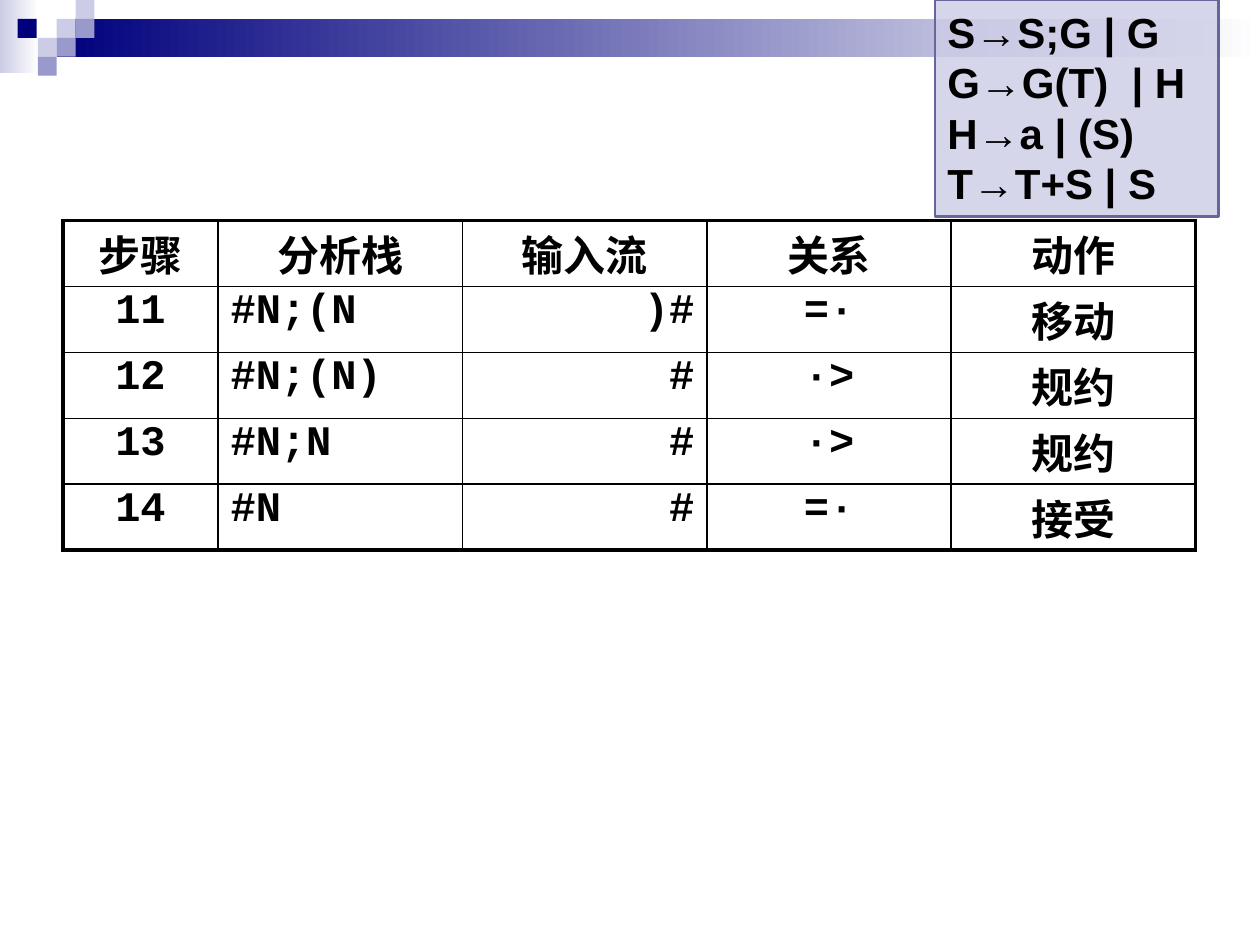
"""Build the operator-precedence parsing slide with its grammar box and step table."""
import dataclasses
import typing

import lxml.etree
import pptx
import pptx.dml.color
import pptx.enum.dml
import pptx.enum.shapes
import pptx.enum.text
import pptx.oxml.ns
import pptx.util

Inches = pptx.util.Inches
Align = pptx.enum.text.PP_ALIGN
BLACK, NAVY, LAVENDER, VIOLET, SLATE, WHITE = (
    "000000", "00007D", "CCCCE6", "9999CC", "666699", "FFFFFF")
SQUARE = 0.15
THIN, THICK = 1, 2.25


@dataclasses.dataclass
class Block:
    left: float
    top: float
    width: float
    height: float
    color: str
    end_color: typing.Optional[str] = None


BANNER = [
    Block(0, 0, 0.31, 0.58, LAVENDER, WHITE),
    Block(0.45, 0.15, 9.55, 0.3, NAVY, WHITE),
] + [
    Block(left, row * SQUARE, SQUARE, SQUARE, color)
    for left, row, color in [
        (0.45, 1, LAVENDER), (0.6, 0, LAVENDER), (0.6, 1, VIOLET),
        (0.3, 2, LAVENDER), (0.14, 1, NAVY), (0.45, 2, VIOLET), (0.3, 3, VIOLET)]
]
GRAMMAR = ["S→S;G | G", "G→G(T)  | H", "H→a | (S)", "T→T+S | S"]
STEPS = [
    ("步骤", "分析栈", "输入流", "关系", "动作"),
    ("11", "#N;(N", ")#", "=·", "移动"),
    ("12", "#N;(N)", "#", "·>", "规约"),
    ("13", "#N;N", "#", "·>", "规约"),
    ("14", "#N", "#", "=·", "接受"),
]
COLUMN_WIDTHS = [1.23] + [1.94] * 4
BODY_ALIGNMENTS = [Align.CENTER, Align.LEFT, Align.RIGHT, Align.CENTER, Align.CENTER]
CELL_FORMAT = {"margin_left": Inches(0.1), "margin_right": Inches(0.1),
               "margin_top": Inches(0.02), "margin_bottom": Inches(0.02)}
FRAME_FORMAT = {"word_wrap": True,
                "vertical_anchor": pptx.enum.text.MSO_ANCHOR.TOP,
                "auto_size": pptx.enum.text.MSO_AUTO_SIZE.SHAPE_TO_FIT_TEXT}


def rgb(color: str) -> pptx.dml.color.RGBColor:
    """Turn a hex string into a colour."""
    return pptx.dml.color.RGBColor.from_string(color)


def apply_format(target: typing.Any, values: dict) -> None:
    """Set each named attribute on the target."""
    for name, value in values.items():
        setattr(target, name, value)


def write(paragraph: typing.Any, text: str, font: str, alignment: typing.Any) -> None:
    """Write one bold line into a paragraph."""
    paragraph.alignment = alignment
    run = paragraph.add_run()
    run.text = text
    apply_format(run.font, {"name": font, "size": pptx.util.Pt(24), "bold": True})
    run.font.color.rgb = rgb(BLACK)


def add_block(slide: typing.Any, block: Block) -> typing.Any:
    """Draw a borderless rectangle with a solid or gradient fill."""
    shape = slide.shapes.add_shape(
        pptx.enum.shapes.MSO_SHAPE.RECTANGLE, Inches(block.left), Inches(block.top),
        Inches(block.width), Inches(block.height))
    shape.shadow.inherit = False
    shape.line.fill.background()
    if block.end_color:
        shape.fill.gradient()
        shape.fill.gradient_angle = 0
        for stop, color in zip(shape.fill.gradient_stops, (block.color, block.end_color)):
            stop.color.rgb = rgb(color)
    else:
        shape.fill.solid()
        shape.fill.fore_color.rgb = rgb(block.color)
    return shape


def set_borders(cell: typing.Any, widths: dict) -> None:
    """Give a cell solid black borders of the given point widths."""
    properties = cell._tc.get_or_add_tcPr()
    for index, (side, width) in enumerate(widths.items()):
        line = lxml.etree.Element(pptx.oxml.ns.qn(f"a:ln{side}"), w=str(pptx.util.Pt(width)))
        fill = lxml.etree.SubElement(line, pptx.oxml.ns.qn("a:solidFill"))
        lxml.etree.SubElement(fill, pptx.oxml.ns.qn("a:srgbClr"), val=BLACK)
        properties.insert(index, line)


def add_steps(slide: typing.Any) -> None:
    """Draw the table of parsing steps."""
    last_row, last_column = len(STEPS) - 1, len(COLUMN_WIDTHS) - 1
    table = slide.shapes.add_table(
        len(STEPS), len(COLUMN_WIDTHS), Inches(0.5), Inches(1.75), Inches(9), Inches(2.2)).table
    apply_format(table, {"first_row": False, "horz_banding": False})
    for column, width in zip(table.columns, COLUMN_WIDTHS):
        column.width = Inches(width)
    for row, texts in enumerate(STEPS):
        for column, text in enumerate(texts):
            cell = table.cell(row, column)
            apply_format(cell, CELL_FORMAT)
            cell.fill.background()
            alignment = BODY_ALIGNMENTS[column] if row else Align.CENTER
            write(cell.text_frame.paragraphs[0], text, "Courier New", alignment)
            outer = {"L": column == 0, "R": column == last_column,
                     "T": row == 0, "B": row == last_row}
            set_borders(cell, {side: THICK if edge else THIN for side, edge in outer.items()})


def add_grammar(slide: typing.Any) -> None:
    """Draw the translucent box of grammar rules."""
    shape = add_block(slide, Block(7.42, 0, 2.25, 1.72, LAVENDER))
    color = shape.fill._xPr.find(".//" + pptx.oxml.ns.qn("a:srgbClr"))
    lxml.etree.SubElement(color, pptx.oxml.ns.qn("a:alpha"), val="80000")
    shape.line.color.rgb = rgb(SLATE)
    shape.line.width = pptx.util.Pt(1.5)
    frame = shape.text_frame
    apply_format(frame, FRAME_FORMAT)
    for index, rule in enumerate(GRAMMAR):
        paragraph = frame.add_paragraph() if index else frame.paragraphs[0]
        write(paragraph, rule, "Arial", Align.LEFT)


def main() -> None:
    """Assemble and save the slide."""
    presentation = pptx.Presentation()
    apply_format(presentation, {"slide_width": Inches(10), "slide_height": Inches(7.5)})
    slide = presentation.slides.add_slide(presentation.slide_layouts[6])
    for block in BANNER:
        add_block(slide, block)
    add_steps(slide)
    add_grammar(slide)
    presentation.save("out.pptx")


main()
